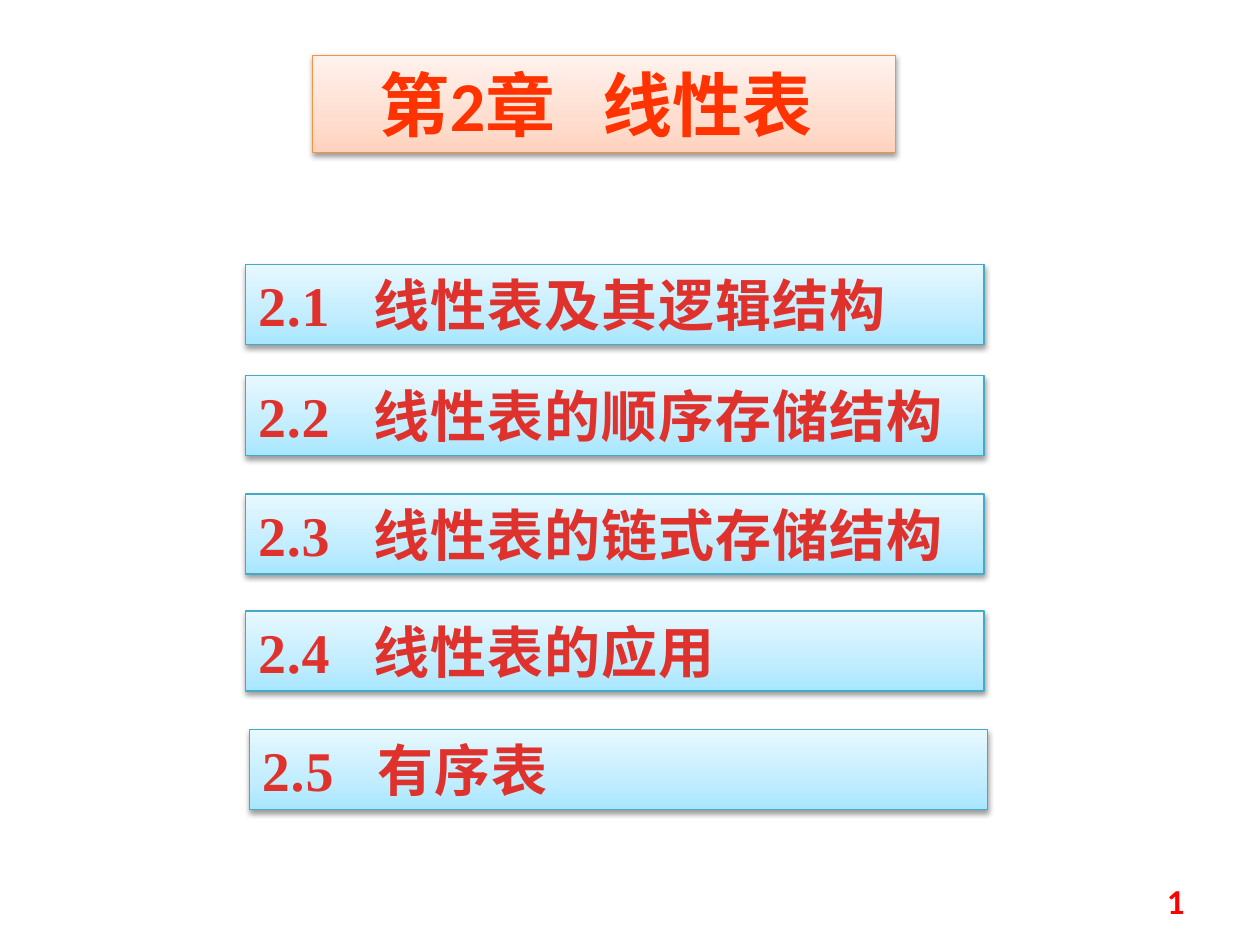
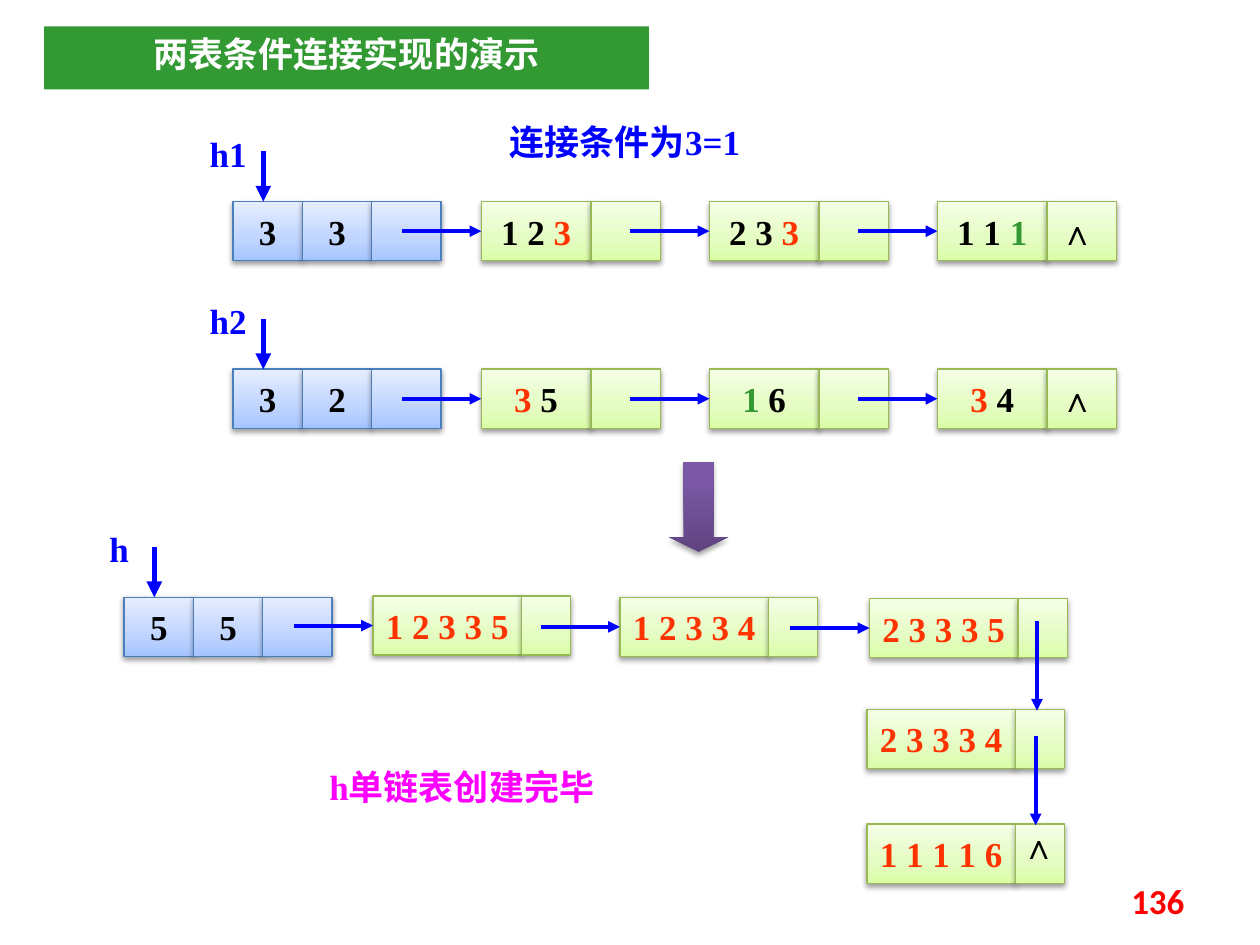
from copy import deepcopy

from lxml.etree import SubElement
from pptx import Presentation
from pptx.dml.color import RGBColor
from pptx.enum.shapes import MSO_CONNECTOR as CONN, MSO_SHAPE as SHAPE
from pptx.enum.text import MSO_ANCHOR as ANCHOR, PP_ALIGN as ALIGN
from pptx.oxml.ns import qn
from pptx.util import Inches, Pt

# Shared look
WIDTH, HEIGHT = Inches(10), Inches(7.5)
UNIT = WIDTH / 100  # square grid, 100 columns by 75 rows
SERIF, SANS, CJK = "Times New Roman", "Calibri", "Noto Sans CJK SC"
BLACK, WHITE, BLUE, GREEN = "000000", "FFFFFF", "0000FF", "339933"
ORANGE, RED, ITEM_RED, PINK = "FF3300", "FF0000", "E0322D", "FF00FF"

# Gradient (bottom to top) and outline of each kind of box
PEACH_BOX = (("FFD2BD", "FFDED0", "FFF2ED"), "F69240")
SKY_BOX = (("A7E6FF", "C1EDFF", "E7F8FF"), "46AAC5")
HEAD_BOX = (("A4C4FF", "BFD4FF", "E6EEFF"), "4B7EBC")
NODE_BOX = (("DAFDA7", "E4FCC2", "F5FFE7"), "98B955")
PURPLE = ("5F4480", "7B58A6", "7C57A8")

# Linked-list measures in grid units
CELL_W, CELL_H, LINK = 5.5, 4.7, 6.3


def grid(*lengths):
    return [round(n * UNIT) for n in lengths]


def rgb(color):
    return RGBColor.from_string(color)


def write(shape, text, size, color, font=SERIF, align=ALIGN.CENTER,
          anchor=ANCHOR.TOP, wrap=True, tab=None, spacing=None):
    """Fill a shape with one paragraph; text is a string or (text, colour) pairs."""
    tf = shape.text_frame
    tf.word_wrap, tf.vertical_anchor = wrap, anchor
    p = tf.paragraphs[0]
    p.alignment = align
    if tab:
        tabs = SubElement(p._p.get_or_add_pPr(), qn("a:tabLst"))
        SubElement(tabs, qn("a:tab"), pos=str(grid(tab)[0]), algn="l")
    p.font.size, p.font.bold, p.font.name = Pt(size), True, font
    p.font.color.rgb = rgb(color)
    props = p._p.pPr.find(qn("a:defRPr"))
    SubElement(props, qn("a:ea"), typeface=CJK)
    if spacing:
        props.set("spc", str(spacing))
    pieces = [(text, None)] if isinstance(text, str) else text
    for part, part_color in pieces:
        r = p.add_run()
        r.text = part
        if part_color:
            r.font.color.rgb = rgb(part_color)
    return p


def gradient(shape, colors, middle=0.35):
    fill = shape.fill
    fill.gradient()
    fill.gradient_angle = 90
    first = shape._element.spPr.xpath(".//a:gs")[0]
    first.addnext(deepcopy(first))
    for stop, color, position in zip(fill.gradient_stops, colors, (0, middle, 1)):
        stop.color.rgb = rgb(color)
        stop.position = position


def drop_shadow(shape):
    shape.shadow.inherit = False
    effects = shape._element.spPr.find(qn("a:effectLst"))
    shadow = SubElement(effects, qn("a:outerShdw"), blurRad="40000", dist="20000",
                        dir="5400000", rotWithShape="0")
    black = SubElement(shadow, qn("a:srgbClr"), val=BLACK)
    SubElement(black, qn("a:alpha"), val="38000")


def glossy_box(slide, x, y, w, h, style):
    colors, outline = style
    sp = slide.shapes.add_shape(SHAPE.RECTANGLE, *grid(x, y, w, h))
    gradient(sp, colors)
    sp.line.color.rgb = rgb(outline)
    sp.line.width = Pt(0.75)
    drop_shadow(sp)
    return sp


def label(slide, x, y, w, h, text, color, size=20, **style):
    sp = slide.shapes.add_textbox(*grid(x, y, w, h))
    write(sp, text, size, color, **style)
    return sp


def page_number(slide, number):
    label(slide, 71.7, 69.5, 23.3, 4, str(number), RED, font=SANS,
          align=ALIGN.RIGHT, anchor=ANCHOR.MIDDLE)


def arrow(slide, x1, y1, x2, y2, width=2.25, target=None):
    line = slide.shapes.add_connector(CONN.STRAIGHT, *grid(x1, y1, x2, y2))
    line.line.color.rgb = rgb(BLUE)
    line.line.width = Pt(width)
    SubElement(line.line._get_or_add_ln(), qn("a:tailEnd"), type="triangle")
    SubElement(line._element.spPr, qn("a:effectLst"))
    if target is not None:
        line.end_connect(target, 1)


def cell(slide, x, y, w, style, text=""):
    sp = glossy_box(slide, x, y, w, CELL_H, style)
    if text:
        write(sp, text, 20, BLACK, anchor=ANCHOR.MIDDLE, wrap=False)
    return sp


def list_head(slide, x, y, name, counts):
    """Header node with its named pointer."""
    for i, count in enumerate((*counts, "")):
        cell(slide, x + i * CELL_W, y, CELL_W, HEAD_BOX, count)
    arrow(slide, x + 2.4, y - 4, x + 2.4, y, width=3)
    label(slide, x - 3.15, y - 6, CELL_W, 4.3, name, BLUE)


def node(slide, x, y, data, data_w, link_w, link_text="", linked=True):
    """Data cell and link cell, with the arrow that comes from the left."""
    sp = cell(slide, x, y, data_w, NODE_BOX, data)
    cell(slide, x + data_w, y, link_w, NODE_BOX, link_text)
    if linked:
        middle = y + CELL_H / 2
        arrow(slide, x - LINK, middle, x, middle, target=sp)


def source_list(slide, y, name, counts, rows):
    list_head(slide, 18.5, y, name, counts)
    for i, row in enumerate(rows):
        end = "∧ " if i == len(rows) - 1 else ""
        node(slide, 38.2 + 18.1 * i, y, row, 8.7, CELL_W, end)


def contents_slide(prs):
    slide = prs.slides.add_slide(prs.slide_layouts[6])
    # Chapter title: the gap between number and name is a widened space
    title = glossy_box(slide, 24.8, 4.4, 46.3, 7.7, PEACH_BOX)
    p = write(title, [("第2章", None), (" ", None), ("线性表 ", None)],
              40, ORANGE, font=SANS)
    p.runs[1]._r.get_or_add_rPr().set("spc", "1800")
    # Sections
    sections = [
        (19.5, 21, "线性表及其逻辑结构"),
        (19.5, 29.8, "线性表的顺序存储结构"),
        (19.5, 39.2, "线性表的链式存储结构"),
        (19.5, 48.5, "线性表的应用"),
        (19.8, 57.9, "有序表"),
    ]
    for i, (x, y, name) in enumerate(sections, 1):
        sp = glossy_box(slide, x, y, 58.6, 6.35, SKY_BOX)
        write(sp, f"2.{i}\t{name}", 32, ITEM_RED, align=ALIGN.LEFT, tab=9.2, spacing=50)
    page_number(slide, 1)


def join_slide(prs):
    slide = prs.slides.add_slide(prs.slide_layouts[6])
    # Title band
    band = slide.shapes.add_shape(SHAPE.RECTANGLE, *grid(3.5, 2.1, 48, 5))
    band.fill.solid()
    band.fill.fore_color.rgb = rgb(GREEN)
    band.line.fill.background()
    band.shadow.inherit = False
    write(band, "两表条件连接实现的演示", 20, WHITE, font=CJK)
    label(slide, 38.2, 9.1, 22.8, 4.3, "连接条件为3=1", BLUE)

    # The two lists to be joined
    source_list(slide, 16, "h1", "33", [
        [("1 2 ", None), ("3", ORANGE)],
        [("2 3 ", None), ("3", ORANGE)],
        [("1 1 ", None), ("1", GREEN)],
    ])
    source_list(slide, 29.3, "h2", "32", [
        [("3", ORANGE), (" 5", None)],
        [("1", GREEN), (" 6", None)],
        [("3", ORANGE), (" 4", None)],
    ])

    # Step from the sources to the result
    step = slide.shapes.add_shape(SHAPE.DOWN_ARROW, *grid(53.1, 36.7, 4.7, 7.1))
    step.adjustments[0], step.adjustments[1] = 0.5, 0.25
    gradient(step, PURPLE, middle=0.8)
    step.line.fill.background()
    drop_shadow(step)

    # Joined list: a row that turns downwards
    list_head(slide, 9.85, 47.4, "h", "55")
    for x, y, data in [(29.6, 47.3, "1 2 3 3 5"), (49.2, 47.4, "1 2 3 3 4"),
                       (69, 47.5, "2 3 3 3 5")]:
        node(slide, x, y, [(data, ORANGE)], 11.8, 3.9)
    for x, y, data in [(82.3, 56.3, "2 3 3 3 4"), (82.2, 65.4, "1 1 1 1 6")]:
        node(slide, 68.8, y, [(data, ORANGE)], 11.8, 3.9, linked=False)
        arrow(slide, x, y - 7, x, y + 0.1)
    end = label(slide, 80.9, 65.4, 3.1, 3.4, "∧", BLACK)
    tf = end.text_frame
    tf.margin_left = tf.margin_right = tf.margin_top = tf.margin_bottom = 0

    label(slide, 20.9, 60.3, 31.5, 5, "h单链表创建完毕", PINK)
    page_number(slide, 136)


def main():
    prs = Presentation()
    prs.slide_width, prs.slide_height = WIDTH, HEIGHT
    contents_slide(prs)
    join_slide(prs)
    prs.save("out.pptx")


if __name__ == "__main__":
    main()
